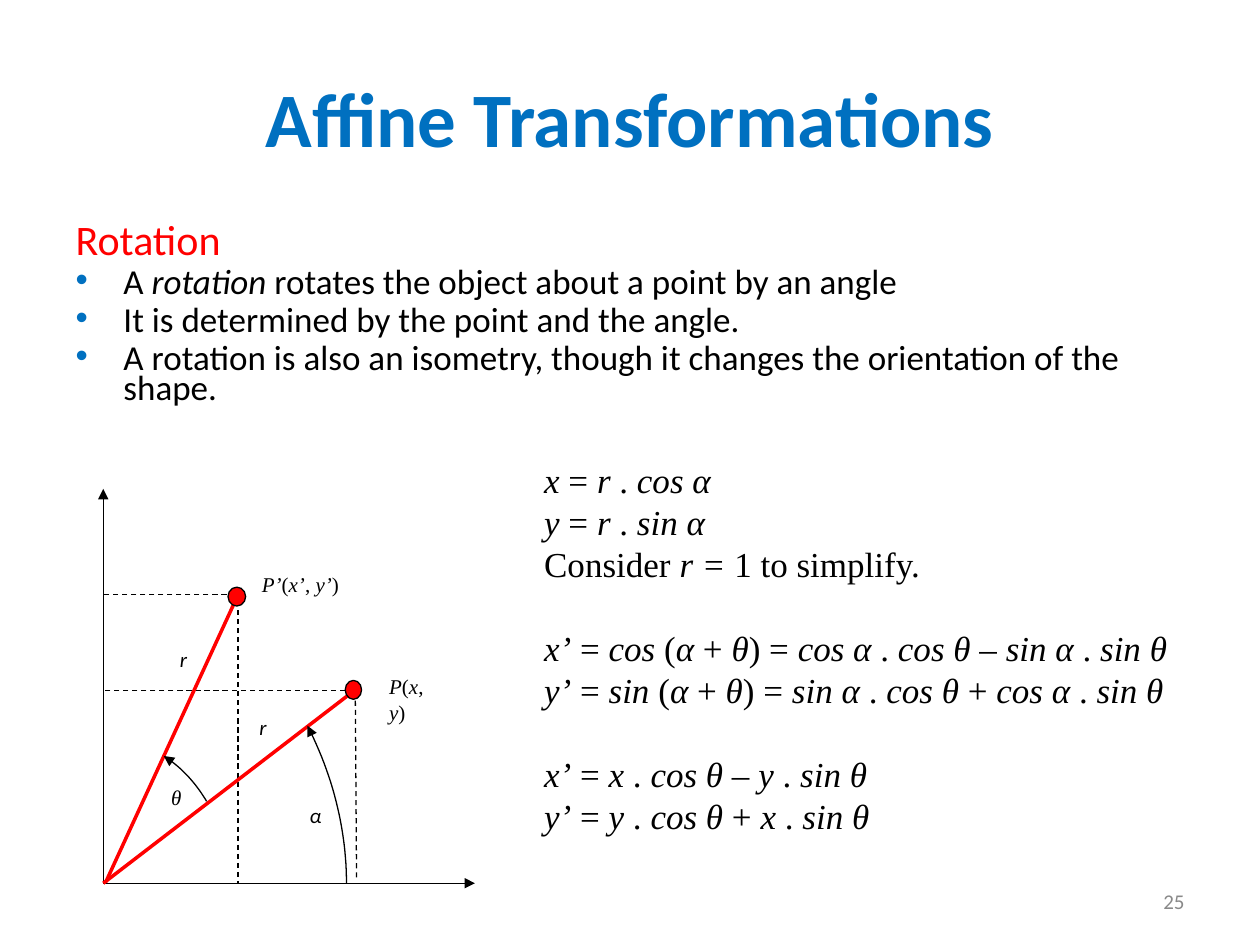
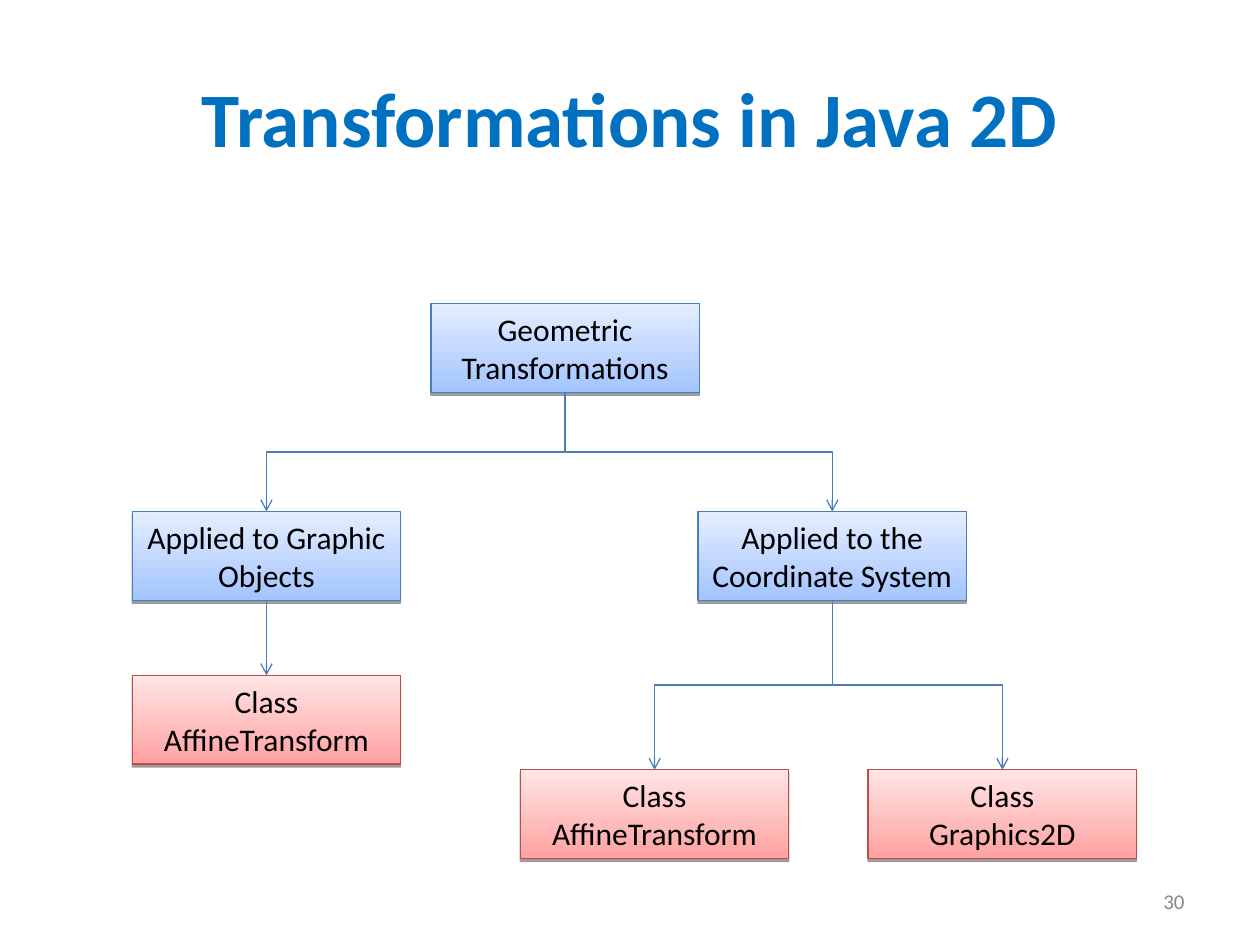
import pptx
import pptx.util
import pptx.dml.color
import pptx.enum.dml
import pptx.enum.shapes
import pptx.enum.text
import pptx.oxml
import pptx.oxml.ns
from lxml import etree

Pt = pptx.util.Pt
RGB = pptx.dml.color.RGBColor
Align = pptx.enum.text.PP_ALIGN
Anchor = pptx.enum.text.MSO_ANCHOR
Fit = pptx.enum.text.MSO_AUTO_SIZE
Shape = pptx.enum.shapes.MSO_SHAPE
Link = pptx.enum.shapes.MSO_CONNECTOR
qn = pptx.oxml.ns.qn

BLUE = RGB(0x00, 0x70, 0xC0)
RED = RGB(0xFF, 0x00, 0x00)
BLACK = RGB(0x00, 0x00, 0x00)
GREY = RGB(0x89, 0x89, 0x89)
EDGE = RGB(0x4A, 0x7E, 0xBB)
SKY = (RGB(0xA3, 0xC4, 0xFF), RGB(0xE5, 0xEE, 0xFF), EDGE)
ROSE = (RGB(0xFF, 0xA2, 0xA1), RGB(0xFF, 0xE5, 0xE5), RGB(0xBE, 0x4B, 0x48))
SANS, SERIF = "Calibri", "Times New Roman"

# Grid: 100 columns by 75 rows of square cells
WIDE, HIGH, COLS = pptx.util.Inches(10), pptx.util.Inches(7.5), 100
CELL = WIDE / COLS

TITLE = (5, 3, 90, 12.5)
BODY = (5, 17.5, 90, 16.9)
NUMBER = (71.7, 69.5, 23.3, 4)

# Rotation slide: words between asterisks are italic
POINTS = [
    "A *rotation* rotates the object about a point by an angle",
    "It is determined by the point and the angle.",
    "A rotation is also an isometry, though it changes the orientation of the shape.",
]
MATH = [
    ["*x* = *r* . *cos α*", "*y* = *r* . *sin α*", "Consider *r =* 1 to simplify."],
    ["*x’* = *cos* (*α* + *θ*) = *cos α* . *cos θ* – *sin α* . *sin θ*",
     "*y’* = *sin* (*α* + *θ*) = *sin α* . *cos θ* + *cos α* . *sin θ*"],
    ["*x’* = *x* . *cos θ* – *y* . *sin θ*", "*y’* = *y* . *cos θ* + *x* . *sin θ*"],
]
ZERO = (8.2, 70.1)
DASHES = [
    ((28.1, 54.8), (8.2, 54.8)), ((28.2, 54.9), (28.3, 69.9)),
    ((18.7, 47.2), (8, 47.2)), ((18.9, 47.7), (18.9, 70.2)),
]
AXES = [(ZERO, (8.2, 38.8)), (ZERO, (37.7, 70.1))]
RAYS = [(ZERO, (28, 54.9)), ((8.4, 70), (18.9, 47.2))]
ARCS = [
    [(27.5, 70.1), (27.5, 65.8), (26.4, 61.5), (24.4, 57.6)],
    [(16.4, 63.6), (15.5, 62.1), (14.4, 60.9), (13, 60)],
]
DOTS = [(27.4, 54, 1.3, 1.5), (18.1, 46.6, 1.4, 1.5)]
LABELS = [
    ("*θ*", SERIF, 12.6, 61.8, 2.8), ("*α*", SANS, 23.6, 63.2, 2.9),
    ("*P*(*x*, *y*)", SERIF, 29.9, 53, 6.4),
    ("*P’*(*x’*, *y’*)", SERIF, 19.8, 44.9, 8.1),
    ("*r*", SANS, 19.6, 56.2, 2.5), ("*r*", SANS, 13.3, 50.8, 2.5),
]

# Tree slide: name, lines, left, top, colours, parent
NODE = (21.3, 7.05)
TREE = [
    ("root", ["Geometric Transformations"], 34.2, 24.1, SKY, None),
    ("object", ["Applied to Graphic Objects"], 10.5, 40.6, SKY, "root"),
    ("system", ["Applied to the Coordinate System"], 55.4, 40.6, SKY, "root"),
    ("affine", ["Class", "AffineTransform"], 10.5, 53.6, ROSE, "object"),
    ("shared", ["Class", "AffineTransform"], 41.3, 61.1, ROSE, "system"),
    ("canvas", ["Class", "Graphics2D"], 68.9, 61.1, ROSE, "system"),
]


def cells(*vals):
    return [round(v * CELL) for v in vals]


def style(item, **vals):
    for key, val in vals.items():
        setattr(item, key, val)


def rich(para, text, size, color=BLACK, face=SANS, bold=False):
    for i, part in enumerate(text.split("*")):
        if part:
            run = para.add_run()
            run.text = part
            style(run.font, size=Pt(size), name=face, bold=bold, italic=i % 2 == 1)
            run.font.color.rgb = color


def paras(frame, lines):
    """Yield each line with its paragraph."""
    for i, line in enumerate(lines):
        yield line, frame.paragraphs[0] if i == 0 else frame.add_paragraph()


def box(slide, place, **vals):
    frame = slide.shapes.add_textbox(*cells(*place)).text_frame
    style(frame, **vals)
    return frame


def pen(item, color, width=0.75, head=None):
    item.line.color.rgb = color
    item.line.width = Pt(width)
    if head:
        etree.SubElement(item.line._get_or_add_ln(), qn("a:tailEnd"), type=head)


def plain(link):
    etree.SubElement(link._element.spPr, qn("a:effectLst"))


def line(slide, ends, color=BLACK, width=0.75, head=None, dash=False):
    link = slide.shapes.add_connector(Link.STRAIGHT, *cells(*ends[0], *ends[1]))
    pen(link, color, width)
    if dash:
        link.line.dash_style = pptx.enum.dml.MSO_LINE.DASH
    if head:
        pen(link, color, width, head)
    plain(link)


def arc(slide, knots, steps=24):
    """Draw a cubic curve as a fine open outline with an arrowhead."""
    dots = []
    for i in range(steps + 1):
        t = i / steps
        parts = ((1 - t) ** 3, 3 * t * (1 - t) ** 2, 3 * t * t * (1 - t), t ** 3)
        dots.append(cells(*(sum(k * v for k, v in zip(parts, axis))
                            for axis in zip(*knots))))
    path = slide.shapes.build_freeform(*dots[0])
    path.add_line_segments(dots[1:], close=False)
    curve = path.convert_to_shape()
    curve.shadow.inherit = False
    curve.fill.background()
    pen(curve, BLACK, head="triangle")


def start(deck, layout, title, number):
    slide = deck.slides.add_slide(deck.slide_layouts[layout])
    head = slide.shapes.title
    head.left, head.top, head.width, head.height = cells(*TITLE)
    style(head.text_frame, vertical_anchor=Anchor.MIDDLE, auto_size=Fit.NONE)
    para = head.text_frame.paragraphs[0]
    para.alignment = Align.CENTER
    rich(para, title, 44, BLUE, bold=True)
    foot = box(slide, NUMBER, word_wrap=True, vertical_anchor=Anchor.MIDDLE)
    foot.paragraphs[0].alignment = Align.RIGHT
    rich(foot.paragraphs[0], number, 12, GREY)
    return slide


def bullet(para, shown):
    props = para._p.get_or_add_pPr()
    indent = pptx.util.Inches(0.38)
    props.set("marL", str(indent))
    props.set("indent", str(-indent))
    if shown:
        tint = etree.SubElement(props, qn("a:buClr"))
        etree.SubElement(tint, qn("a:srgbClr"), val=str(BLUE))
        etree.SubElement(props, qn("a:buChar"), char="•")
    else:
        etree.SubElement(props, qn("a:buNone"))


def rotation(deck):
    slide = start(deck, 1, "Affine Transformations", "25")

    # List
    body = slide.placeholders[1]
    body.left, body.top, body.width, body.height = cells(*BODY)
    body.text_frame.auto_size = Fit.NONE
    for text, para in paras(body.text_frame, ["Rotation"] + POINTS):
        top = text == "Rotation"
        style(para, line_spacing=0.7, space_before=Pt(0 if top else 5))
        bullet(para, not top)
        rich(para, text, 24 if top else 20, RED if top else BLACK)

    # Equations, with one line of space between groups
    frame = box(slide, (42.2, 35.9, 53.1, 34.4), word_wrap=True)
    firsts = [group[0] for group in MATH[1:]]
    for text, para in paras(frame, sum(MATH, [])):
        style(para, line_spacing=Pt(24), space_before=Pt(24 if text in firsts else 0))
        rich(para, text, 20, face=SERIF)

    # Diagram
    for ends in DASHES:
        line(slide, ends, dash=True)
    for ends in AXES:
        line(slide, ends, head="triangle")
    for ends in RAYS:
        line(slide, ends, RED, 2)
    for knots in ARCS:
        arc(slide, knots)
    for place in DOTS:
        dot = slide.shapes.add_shape(Shape.OVAL, *cells(*place))
        dot.shadow.inherit = False
        dot.fill.solid()
        dot.fill.fore_color.rgb = RED
        pen(dot, BLACK)
    for text, face, left, top, wide in LABELS:
        frame = box(slide, (left, top, wide, 3), word_wrap=False,
                    auto_size=Fit.SHAPE_TO_FIT_TEXT)
        rich(frame.paragraphs[0], text, 12, face=face)


def node(slide, lines, left, top, tints):
    item = slide.shapes.add_shape(Shape.RECTANGLE, *cells(left, top, *NODE))
    item.fill.gradient()
    item.fill.gradient_angle = 90
    for stop, tint in zip(item.fill.gradient_stops, tints):
        stop.color.rgb = tint
    pen(item, tints[2])
    item.shadow.inherit = False
    glow = item._element.spPr.find(qn("a:effectLst"))
    cast = etree.SubElement(glow, qn("a:outerShdw"), blurRad="0",
                            dist=str(Pt(1.6)), dir="5400000", rotWithShape="0")
    tint = etree.SubElement(cast, qn("a:srgbClr"), val=str(BLACK))
    etree.SubElement(tint, qn("a:alpha"), val="38000")
    item.text_frame.word_wrap = True
    for text, para in paras(item.text_frame, lines):
        para.alignment = Align.CENTER
        rich(para, text, 18)
    return item


def branch(slide, top, low):
    """Join bottom to top, turning the elbow so that it leaves downwards."""
    x1, y1 = top.left + top.width // 2, top.top + top.height
    x2, y2 = low.left + low.width // 2, low.top
    kind = Link.STRAIGHT if x1 == x2 else Link.ELBOW
    link = slide.shapes.add_connector(kind, x1, y1, x2, y2)
    link.begin_connect(top, 2)
    link.end_connect(low, 0)
    if kind == Link.ELBOW:
        wide, high = y2 - y1, abs(x2 - x1)
        style(link, left=(x1 + x2 - wide) // 2, top=(y1 + y2 - high) // 2,
              width=wide, height=high)
        frame = link._element.spPr.find(qn("a:xfrm"))
        frame.set("rot", "16200000" if x2 > x1 else "5400000")
        frame.set("flipH", "1" if x2 > x1 else "0")
    pen(link, EDGE, head="arrow")
    plain(link)


def tree(deck):
    slide = start(deck, 5, "Transformations in Java 2D", "30")
    nodes = {name: node(slide, *rest) for name, *rest, _ in TREE}
    for name, *_, parent in TREE:
        if parent:
            branch(slide, nodes[parent], nodes[name])


def main():
    deck = pptx.Presentation()
    deck.slide_width, deck.slide_height = WIDE, HIGH
    rotation(deck)
    tree(deck)
    deck.save("out.pptx")


if __name__ == "__main__":
    main()
